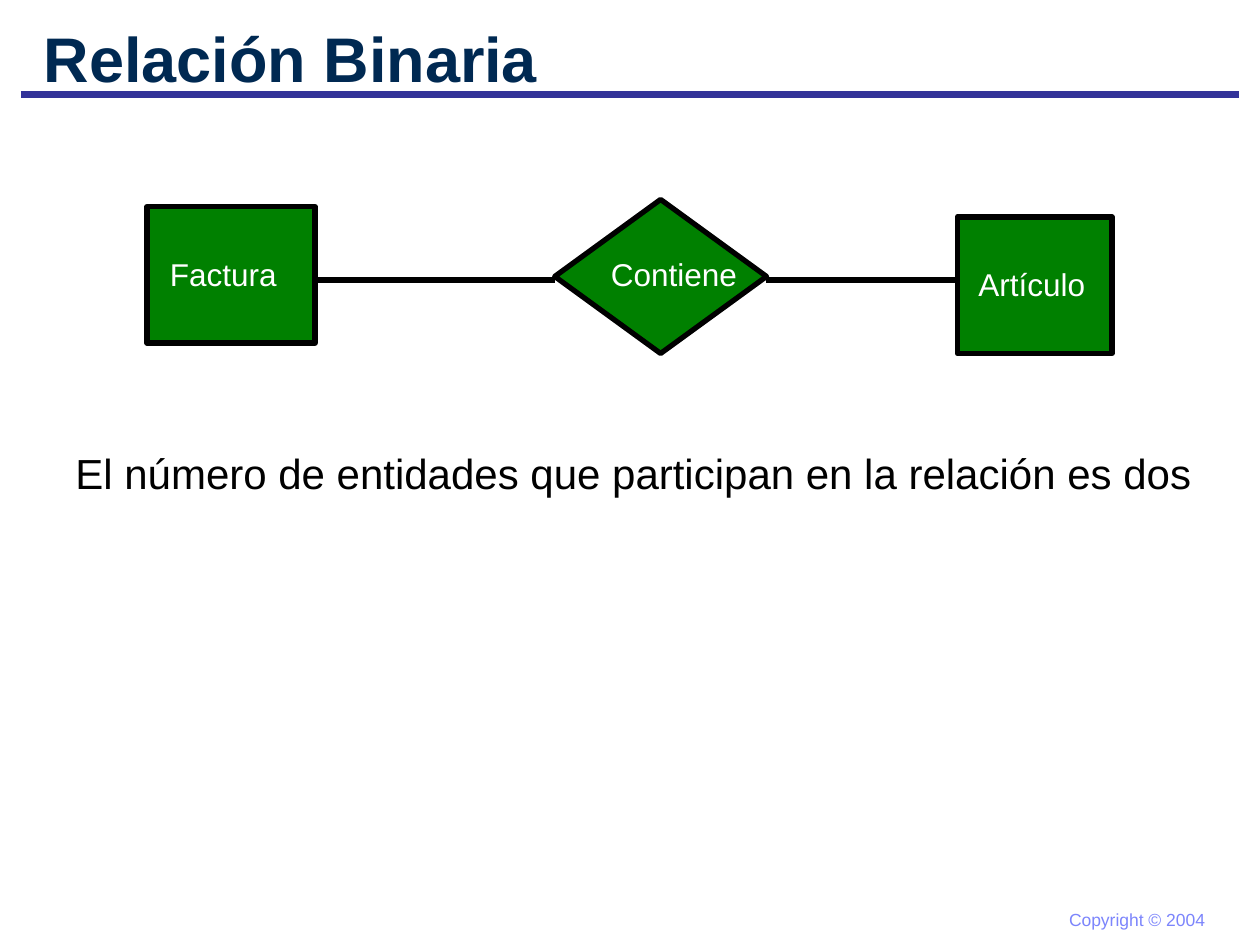
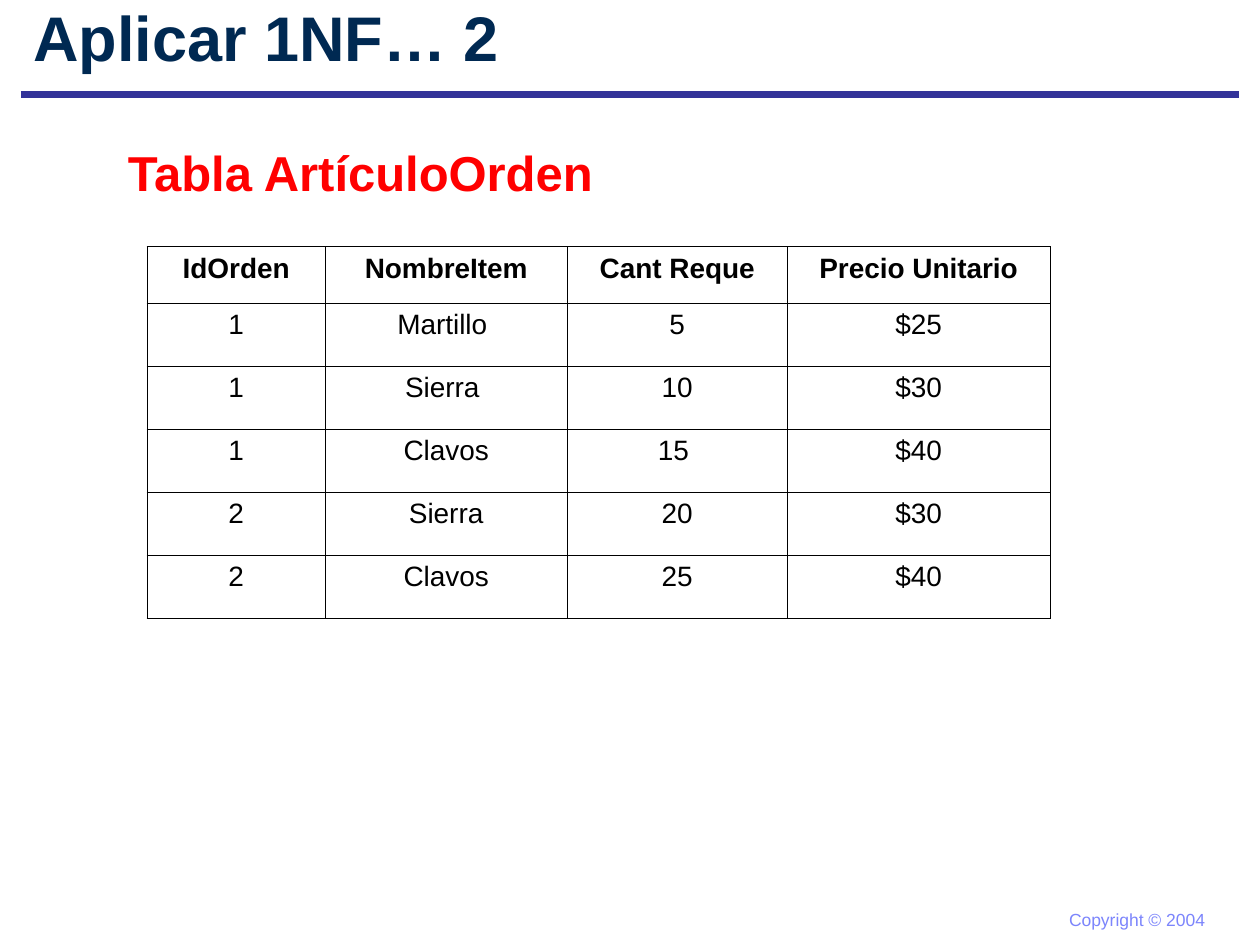
from dataclasses import dataclass

from lxml import etree
from pptx import Presentation
from pptx import util as u
from pptx.dml.color import RGBColor
from pptx.enum import shapes, text
from pptx.oxml.ns import qn

Pt = u.Pt
FONT = "Arial"
NAVY, INDIGO, LILAC = "002952", "333399", "7C85FC"
GREEN, RED, BLACK, WHITE = "008000", "FF0000", "000000", "FFFFFF"


@dataclass(frozen=True)
class Box:
    left: float
    top: float
    width: float
    height: float

    def lengths(self) -> list:
        return [Pt(value) for value in (self.left, self.top, self.width, self.height)]


@dataclass(frozen=True)
class Node:
    """One entity or relation of the diagram, with its label."""
    label: str
    kind: shapes.MSO_SHAPE
    outline: Box
    label_box: Box


def color(value: str) -> RGBColor:
    return RGBColor.from_string(value)


def write(frame, words: str, *, size: float, fill: str = BLACK, bold: bool = False,
          align=text.PP_ALIGN.LEFT, hanging: float = 0) -> None:
    paragraph = frame.paragraphs[0]
    paragraph.alignment = align
    if hanging:
        properties = paragraph._p.get_or_add_pPr()
        properties.set("marL", str(Pt(hanging)))
        properties.set("indent", str(-Pt(hanging)))
    run = paragraph.add_run()
    run.text = words
    run.font.name = FONT
    run.font.size = Pt(size)
    run.font.bold = bold
    run.font.color.rgb = color(fill)


def add_text(slide, words: str, box: Box, *, wrap: bool = True,
             anchor=text.MSO_ANCHOR.TOP, **style) -> None:
    frame = slide.shapes.add_textbox(*box.lengths()).text_frame
    frame.word_wrap = wrap
    frame.vertical_anchor = anchor
    write(frame, words, **style)


def add_line(slide, left: float, right: float, y: float, stroke: str, width: float) -> None:
    line = slide.shapes.add_connector(
        shapes.MSO_CONNECTOR.STRAIGHT, Pt(left), Pt(y), Pt(right), Pt(y))
    line.line.color.rgb = color(stroke)
    line.line.width = Pt(width)
    etree.SubElement(line._element.spPr, qn("a:effectLst"))


def add_node(slide, node: Node) -> None:
    shape = slide.shapes.add_shape(node.kind, *node.outline.lengths())
    shape.shadow.inherit = False
    shape.fill.solid()
    shape.fill.fore_color.rgb = color(GREEN)
    shape.line.color.rgb = color(BLACK)
    shape.line.width = Pt(3)


def add_borders(cell, stroke: str, width: float) -> None:
    properties = cell._tc.get_or_add_tcPr()
    for position, side in enumerate(("lnL", "lnR", "lnT", "lnB")):
        border = etree.Element(qn(f"a:{side}"), w=str(Pt(width)))
        fill = etree.SubElement(border, qn("a:solidFill"))
        etree.SubElement(fill, qn("a:srgbClr"), val=stroke)
        properties.insert(position, border)


def add_table(slide, rows: list, left: float, top: float,
              widths: list, heights: list) -> None:
    box = Box(left, top, sum(widths), sum(heights))
    table = slide.shapes.add_table(len(rows), len(widths), *box.lengths()).table
    table.first_row = table.horz_banding = False
    for column, width in zip(table.columns, widths):
        column.width = Pt(width)
    for row_index, (row, values) in enumerate(zip(table.rows, rows)):
        row.height = Pt(heights[row_index])
        for cell, value in zip(row.cells, values):
            cell.fill.background()
            add_borders(cell, BLACK, 0.45)
            write(cell.text_frame, value, size=16, bold=row_index == 0,
                  align=text.PP_ALIGN.CENTER)


def add_slide(presentation, title: str, title_left: float, title_top: float):
    """Blank slide with the shared rule, copyright line and title."""
    slide = presentation.slides.add_slide(presentation.slide_layouts[6])
    add_line(slide, 12, 708, 54, INDIGO, 4.5)
    add_text(slide, "Copyright © 2004", Box(603.8, 516, 92.4, 19.4),
             wrap=False, size=10, fill=LILAC)
    add_text(slide, title, Box(title_left, title_top, 612, 42),
             anchor=text.MSO_ANCHOR.MIDDLE, size=36, fill=NAVY, bold=True)
    return slide


def build_binary_relation(presentation) -> None:
    slide = add_slide(presentation, "Relación Binaria", 18, 12)
    add_text(slide, "El número de entidades que participan en la relación es dos",
             Box(36, 252, 654, 72), size=24, align=text.PP_ALIGN.JUSTIFY, hanging=27)

    # Entities and the relation between them
    entity, relation = shapes.MSO_SHAPE.RECTANGLE, shapes.MSO_SHAPE.FLOWCHART_DECISION
    nodes = [
        Node("Factura", entity, Box(84, 118, 96, 78), Box(90, 142, 84, 29)),
        Node("Contiene", relation, Box(317, 114, 121, 88), Box(342, 142, 89, 29)),
        Node("Artículo", entity, Box(547, 124, 88.5, 78), Box(552, 148, 84, 29)),
    ]
    for node in nodes:
        add_node(slide, node)
    for start, end in zip(nodes, nodes[1:]):
        add_line(slide, start.outline.left + start.outline.width,
                 end.outline.left, 160, BLACK, 3)
    for node in nodes:
        add_text(slide, node.label, node.label_box, size=18, fill=WHITE)


def build_first_normal_form(presentation) -> None:
    slide = add_slide(presentation, "Aplicar 1NF… 2", 12, 0)
    add_text(slide, "Tabla ArtículoOrden", Box(66, 78, 283, 41),
             wrap=False, size=28, fill=RED, bold=True)

    # Order items
    rows = [
        ("IdOrden", "NombreItem", "Cant Reque", "Precio Unitario"),
        ("1", "Martillo ", "5", "$25"),
        ("1", "Sierra ", "10", "$30"),
        ("1", "Clavos", "15 ", "$40"),
        ("2", "Sierra", "20", "$30"),
        ("2", "Clavos", "25", "$40"),
    ]
    add_table(slide, rows, 84, 141, [102, 138, 126, 150],
              [32.4] + [36] * (len(rows) - 1))


def main() -> None:
    presentation = Presentation()
    presentation.slide_width, presentation.slide_height = Pt(720), Pt(540)
    build_binary_relation(presentation)
    build_first_normal_form(presentation)
    presentation.save("out.pptx")


if __name__ == "__main__":
    main()
